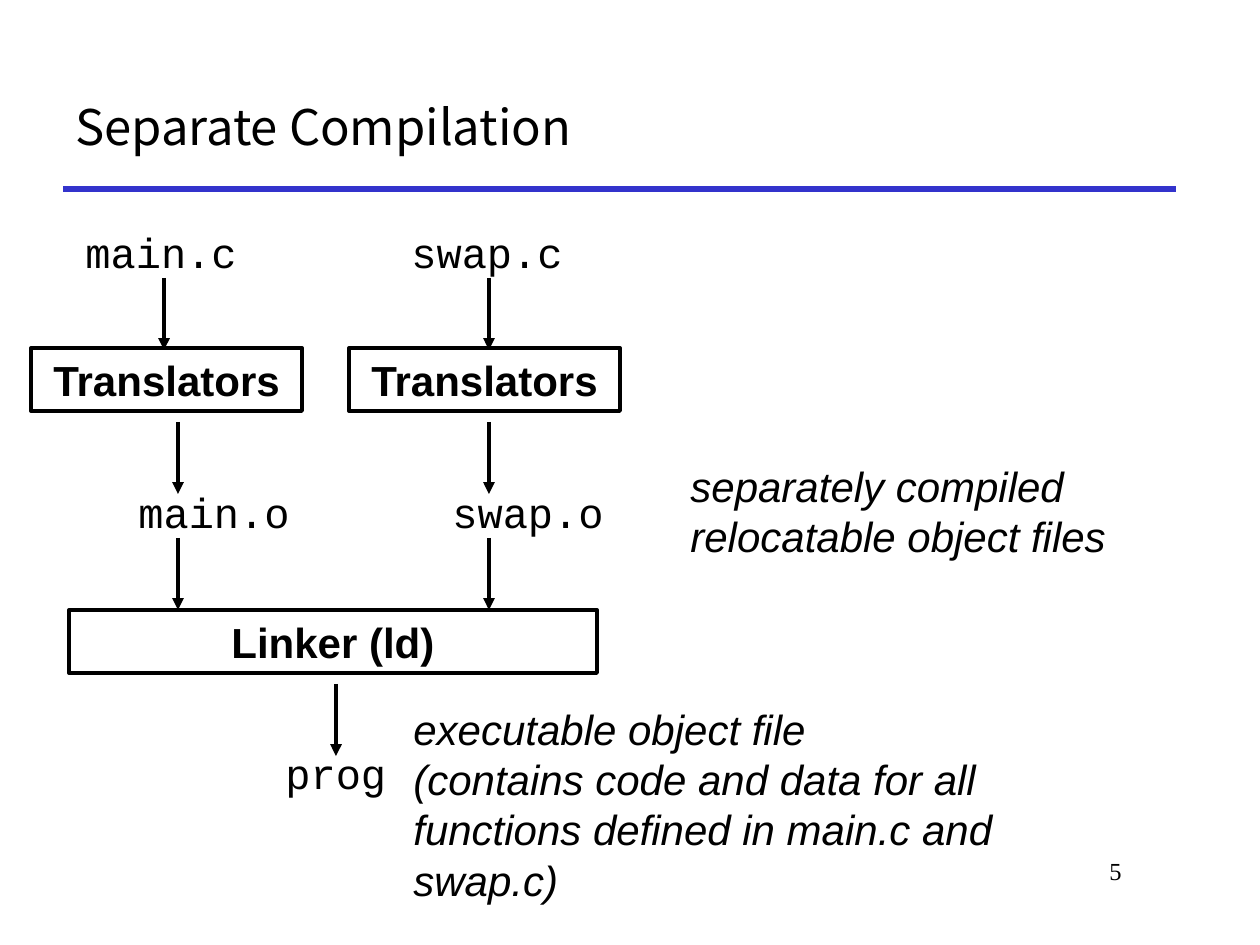
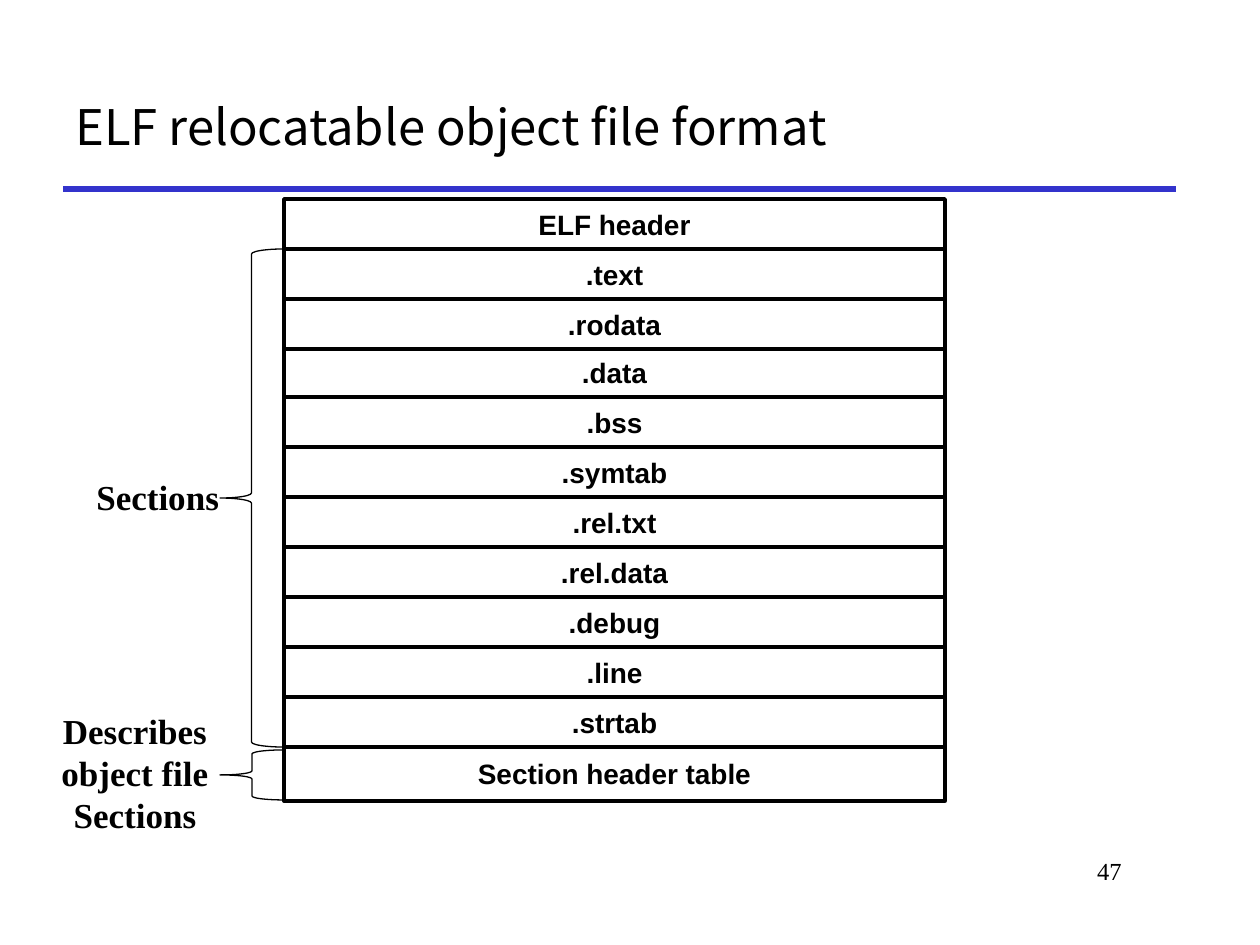
from lxml import etree
from pptx import Presentation
from pptx.dml.color import RGBColor
from pptx.enum.shapes import MSO_CONNECTOR, MSO_SHAPE
from pptx.enum.text import MSO_ANCHOR as Anchor, PP_ALIGN as Align
from pptx.oxml.ns import qn
from pptx.util import Pt

# Shared measures and styles
PX = 914400 / 126
BLACK, WHITE, RULE_BLUE = "000000", "FFFFFF", "3333CC"
SANS, SERIF, MONO = "Arial", "Times New Roman", "Courier New"
TITLE_FONT = "Noto Sans CJK KR"
BOX_HEIGHT = 63
ARROW_LENGTH = 72
ROW_HEIGHT = 50


def emu(*lengths):
    return [round(length * PX) for length in lengths]


def color(hex_text):
    return RGBColor.from_string(hex_text)


def write(shape, text, font, size, bold=False, italic=False,
          align=Align.LEFT, anchor=Anchor.TOP, wrap=True):
    frame = shape.text_frame
    frame.text = text
    frame.word_wrap = wrap
    frame.vertical_anchor = anchor
    for paragraph in frame.paragraphs:
        paragraph.alignment = align
        for run in paragraph.runs:
            run.font.name = font
            run.font.size = Pt(size)
            run.font.bold = bold
            run.font.italic = italic
            run.font.color.rgb = color(BLACK)


def add_text(slide, area, text, font, size, **style):
    write(slide.shapes.add_textbox(*emu(*area)), text, font, size, **style)


def add_outline(slide, kind, area, width, fill=None):
    shape = slide.shapes.add_shape(kind, *emu(*area))
    shape.shadow.inherit = False
    if fill:
        shape.fill.solid()
        shape.fill.fore_color.rgb = color(fill)
    else:
        shape.fill.background()
    shape.line.color.rgb = color(BLACK)
    shape.line.width = Pt(width)
    return shape


def add_line(slide, start, end, line_color, width):
    line = slide.shapes.add_connector(MSO_CONNECTOR.STRAIGHT, *emu(*start, *end))
    line.line.color.rgb = color(line_color)
    line.line.width = Pt(width)
    etree.SubElement(line._element.spPr, qn("a:effectLst"))
    return line


def add_down_arrow(slide, x, y):
    arrow = add_line(slide, (x, y), (x, y + ARROW_LENGTH), BLACK, 2.25)
    etree.SubElement(arrow.line._get_or_add_ln(), qn("a:tailEnd"), type="triangle")


def add_tool_box(slide, x, y, width, text):
    box = add_outline(slide, MSO_SHAPE.RECTANGLE, (x, y, width, BOX_HEIGHT), 2.25)
    write(box, text, SANS, 24, bold=True, align=Align.CENTER)


def add_brace(slide, area):
    brace = add_outline(slide, MSO_SHAPE.LEFT_BRACE, area, 0.75)
    brace.adjustments[0] = 0.08
    brace.adjustments[1] = 0.5


def add_file_row(slide, y, text, height=ROW_HEIGHT):
    row = add_outline(slide, MSO_SHAPE.RECTANGLE, (284, y, 661, height), 2, WHITE)
    write(row, text, SANS, 16, bold=True, align=Align.CENTER,
          anchor=Anchor.MIDDLE, wrap=False)


def add_titled_slide(presentation, title, number):
    slide = presentation.slides.add_slide(presentation.slide_layouts[6])
    add_line(slide, (63, 189), (1176, 189), RULE_BLUE, 3)
    add_text(slide, (63, 63, 1113, 126), title, TITLE_FONT, 28, anchor=Anchor.MIDDLE)
    add_text(slide, (955, 850, 179, 63), number, SERIF, 14, align=Align.RIGHT)
    return slide


def build_compilation(presentation):
    slide = add_titled_slide(presentation, "Separate Compilation", "5")

    # Arrows between the stages
    for x, y in [(164, 278), (489, 278), (178, 422), (489, 422),
                 (178, 538), (489, 538), (336, 684)]:
        add_down_arrow(slide, x, y)

    # Tools
    for x in (31, 349):
        add_tool_box(slide, x, 348, 271, "Translators")
    add_tool_box(slide, 69, 610, 528, "Linker (ld)")

    # Files
    for x, y, width, name in [(73, 220, 178, "main.c"), (399, 220, 178, "swap.c"),
                              (126, 480, 178, "main.o"), (440, 480, 178, "swap.o"),
                              (273, 741, 127, "prog")]:
        add_text(slide, (x, y, width, BOX_HEIGHT), name, MONO, 24, wrap=False)

    # Explanations
    add_text(slide, (678, 454, 488, 115),
             "separately compiled relocatable object files", SANS, 24, italic=True)
    add_text(slide, (401, 697, 656, 217),
             "executable object file\n(contains code and data for all "
             "functions defined in main.c and swap.c)", SANS, 24, italic=True)


def build_elf_format(presentation):
    slide = add_titled_slide(presentation, "ELF relocatable object file format", "47")

    # File layout: the upper rows slightly overlap the lower ones
    add_file_row(slide, 746, "Section header table", 55)
    lower_rows = [".data", ".bss", ".symtab", ".rel.txt", ".rel.data",
                  ".debug", ".line", ".strtab"]
    upper_rows = ["ELF header", ".text", ".rodata"]
    for top, names in [(347, lower_rows), (199, upper_rows)]:
        for index, name in enumerate(names):
            add_file_row(slide, top + index * ROW_HEIGHT, name)

    # Braces and their labels
    add_brace(slide, (220, 249, 63, 498))
    add_brace(slide, (220, 750, 64, 50))
    add_text(slide, (84, 469, 149, 55), "Sections", SERIF, 20, bold=True, wrap=False)
    add_text(slide, (48, 703, 174, 140), "Describes\nobject file\nSections",
             SERIF, 20, bold=True, align=Align.CENTER, wrap=False)


def main():
    presentation = Presentation()
    presentation.slide_width, presentation.slide_height = emu(1260, 945)
    build_compilation(presentation)
    build_elf_format(presentation)
    presentation.save("out.pptx")


if __name__ == "__main__":
    main()
